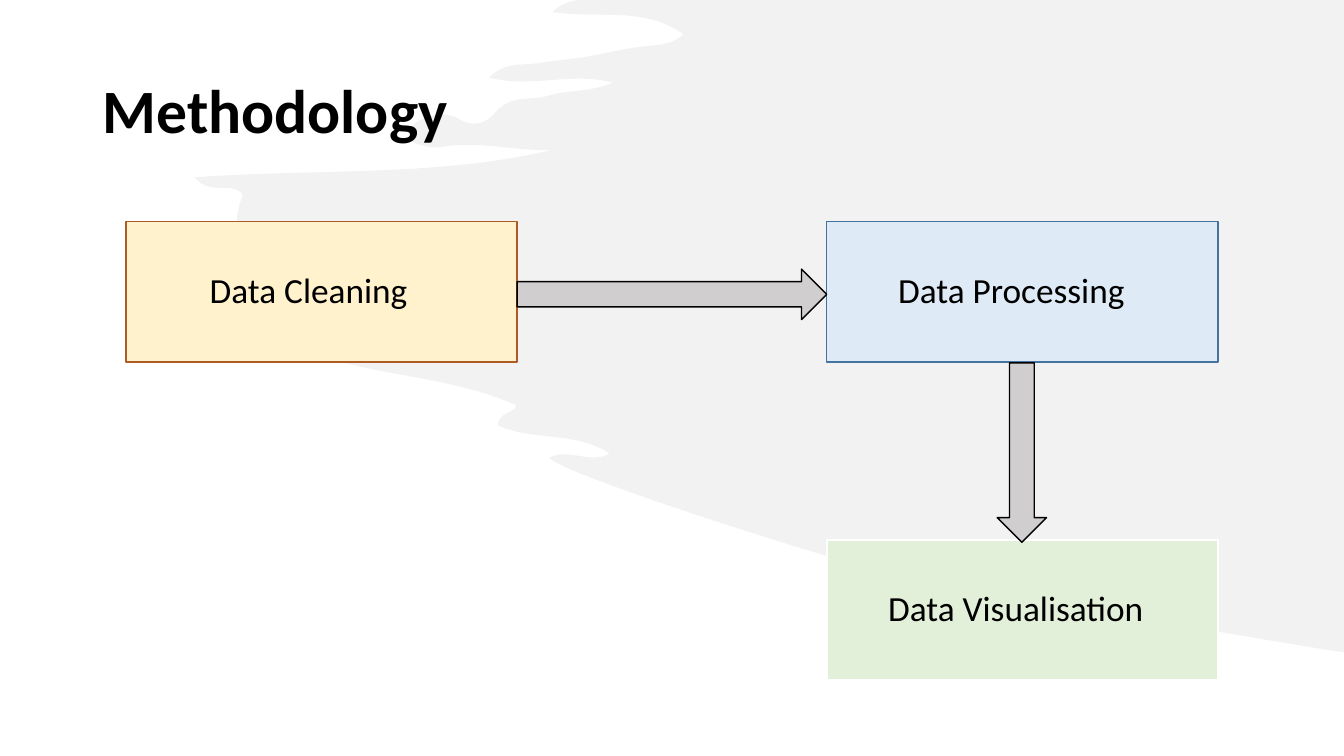
from lxml import etree
from pptx import Presentation
from pptx.dml.color import RGBColor
from pptx.enum import shapes, text
from pptx.oxml import ns
from pptx.util import Inches, Pt

COLORS = {
    "black": "000000", "white": "FFFFFF", "brush": "E7E6E6", "arrow": "D0CECE",
    "cream": "FFF2CC", "brown": "AF5C24", "pale blue": "DEEBF7",
    "blue": "43739E", "pale green": "E2F0D9",
}
BOX_WIDTH, BOX_HEIGHT = 3.88, 1.39
LABEL_OFFSET, LABEL_HEIGHT = 0.41, 0.53

# Brush outline in hundredths of an inch: a pair is a line, six numbers a Bézier curve.
BRUSH_START = (1333, 0)
BRUSH = [
    (575, 0), (567, 1, 557, 3, 548, 12), (595, 19, 639, 6, 678, 34),
    (664, 47, 648, 44, 632, 47), (616, 49, 600, 53, 584, 56),
    (567, 59, 549, 60, 532, 63), (518, 65, 502, 61, 485, 77),
    (527, 88, 566, 71, 608, 82), (584, 92, 563, 89, 544, 95),
    (527, 100, 506, 94, 492, 111), (481, 124, 469, 126, 455, 118),
    (442, 111, 428, 113, 415, 120), (411, 123, 406, 126, 406, 132),
    (406, 141, 412, 143, 418, 144), (424, 146, 431, 147, 437, 146),
    (474, 139, 510, 150, 547, 149), (431, 176, 314, 167, 193, 176),
    (209, 195, 229, 179, 241, 193), (230, 222, 234, 237, 258, 239),
    (280, 241, 304, 231, 316, 265), (320, 276, 341, 273, 355, 275),
    (384, 279, 414, 275, 442, 288), (453, 293, 460, 297, 455, 311),
    (449, 325, 456, 330, 466, 336), (473, 340, 483, 339, 489, 352),
    (428, 350, 369, 340, 309, 350), (375, 374, 447, 373, 512, 402),
    (510, 412, 495, 407, 494, 422), (528, 438, 569, 427, 605, 450),
    (584, 461, 565, 444, 545, 454), (552, 469, 840, 561, 892, 571),
    (978, 587, 1195, 625, 1318, 645), (1333, 647),
]


def add_filled_shape(kind, left, top, width, height, fill, line=None, line_width=1):
    shape = slide.shapes.add_shape(
        kind, Inches(left), Inches(top), Inches(width), Inches(height))
    shape.shadow.inherit = False
    shape.fill.solid()
    shape.fill.fore_color.rgb = RGBColor.from_string(COLORS[fill])
    if line:
        shape.line.color.rgb = RGBColor.from_string(COLORS[line])
        shape.line.width = Pt(line_width)
    else:
        shape.line.fill.background()
    return shape


def format_paragraph(paragraph, size, bold=False):
    paragraph.font.name = "Calibri"
    paragraph.font.size = Pt(size)
    paragraph.font.bold = bold
    paragraph.font.color.rgb = RGBColor.from_string(COLORS["black"])


presentation = Presentation()
presentation.slide_width = Inches(13.33)
presentation.slide_height = Inches(7.5)
slide = presentation.slides.add_slide(presentation.slide_layouts[5])

# Brush stroke behind everything
builder = slide.shapes.build_freeform(*BRUSH_START, scale=Inches(0.01))
builder.add_line_segments([segment[-2:] for segment in BRUSH], close=True)
brush = builder.convert_to_shape()
brush.shadow.inherit = False
brush.fill.solid()
brush.fill.fore_color.rgb = RGBColor.from_string(COLORS["brush"])
brush.line.fill.background()
properties = brush._element.spPr
brush_color = properties.find(ns.qn("a:solidFill")).find(ns.qn("a:srgbClr"))
etree.SubElement(brush_color, ns.qn("a:alpha"), val="50000")

# Bend the straight segments into curves, in coordinates local to the shape
brush_left = min(segment[-2] for segment in BRUSH)
line_elements = list(properties.iter(ns.qn("a:lnTo")))
for segment, line_element in zip(BRUSH, line_elements):
    if len(segment) == 6:
        curve = etree.Element(ns.qn("a:cubicBezTo"))
        for x, y in zip(segment[::2], segment[1::2]):
            etree.SubElement(curve, ns.qn("a:pt"), x=str(x - brush_left), y=str(y))
        line_element.getparent().replace(line_element, curve)
slide.shapes._spTree.insert(2, brush._element)

title = slide.shapes.title
title.left, title.top = Inches(0.92), Inches(0.4)
title.width, title.height = Inches(11.5), Inches(1.45)
title.text_frame.text = "Methodology"
title.text_frame.vertical_anchor = text.MSO_ANCHOR.MIDDLE
heading = title.text_frame.paragraphs[0]
heading.alignment = text.PP_ALIGN.LEFT
heading.line_spacing = 0.9
format_paragraph(heading, 44, bold=True)

# Steps: name, box left and top, fill, line, line width, label left and width, label fill
RECTANGLE = shapes.MSO_SHAPE.RECTANGLE
STEPS = [
    ("Data Cleaning", 1.25, 2.2, "cream", "brown", 1, 1.84, 2.44, "cream"),
    ("Data Processing", 8.2, 2.2, "pale blue", "blue", 1, 8.81, 3.11, None),
    ("Data Visualisation", 8.2, 5.36, "pale green", "white", 1.5, 8.71, 3.32, None),
]
for name, left, top, fill, line, line_width, label_left, label_width, label_fill in STEPS:
    add_filled_shape(RECTANGLE, left, top, BOX_WIDTH, BOX_HEIGHT, fill, line, line_width)
    label_top = top + LABEL_OFFSET
    if label_fill:
        label = add_filled_shape(
            RECTANGLE, label_left, label_top, label_width, LABEL_HEIGHT, label_fill)
    else:
        label = slide.shapes.add_textbox(
            Inches(label_left), Inches(label_top), Inches(label_width), Inches(LABEL_HEIGHT))
    label.text_frame.word_wrap = True
    label.text_frame.vertical_anchor = text.MSO_ANCHOR.TOP
    label.text_frame.text = name
    paragraph = label.text_frame.paragraphs[0]
    paragraph.alignment = text.PP_ALIGN.CENTER if label_fill else text.PP_ALIGN.LEFT
    paragraph.space_after = Pt(6)
    format_paragraph(paragraph, 25.2)

ARROWS = [
    (shapes.MSO_SHAPE.RIGHT_ARROW, 5.13, 2.67, 3.07, 0.5),
    (shapes.MSO_SHAPE.DOWN_ARROW, 9.89, 3.6, 0.49, 1.78),
]
for kind, left, top, width, height in ARROWS:
    add_filled_shape(kind, left, top, width, height, "arrow", "black")

presentation.save("out.pptx")
